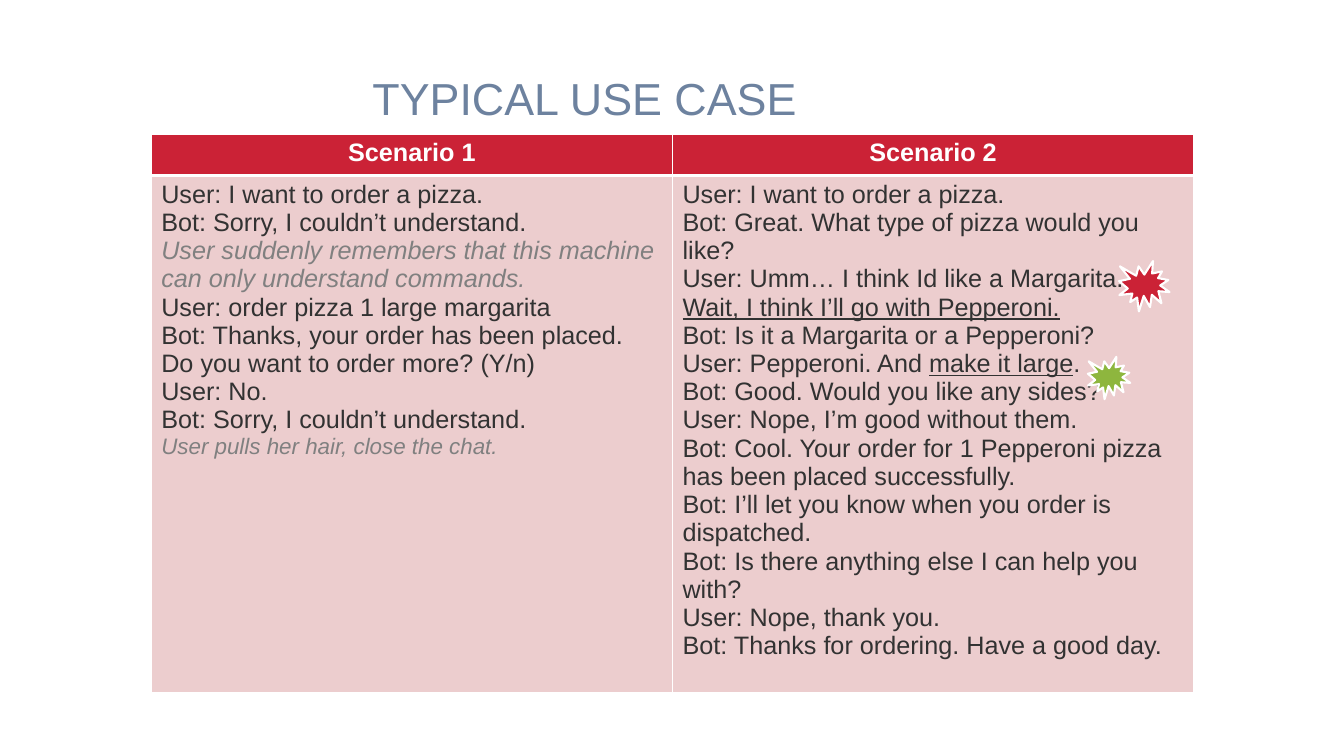
from lxml import etree
from pptx import Presentation
from pptx.dml.color import RGBColor
from pptx.enum.shapes import MSO_SHAPE
from pptx.enum.text import MSO_ANCHOR, PP_ALIGN
from pptx.oxml.ns import qn
from pptx.util import Inches, Pt

BURST = MSO_SHAPE.EXPLOSION1
CENTER = PP_ALIGN.CENTER
MIDDLE = MSO_ANCHOR.MIDDLE
FONT = "Arial"
RED, PINK, GREEN, WHITE = "CB2236", "ECCDCE", "8EB63E", "FFFFFF"
DARK, GRAY, SLATE = "323232", "808080", "6D829F"


def color(hex_string):
    return RGBColor.from_string(hex_string)


def set_borders(cell, widths):
    properties = cell._tc.get_or_add_tcPr()
    for side, width in zip("LRTB", widths):
        line = etree.SubElement(properties, qn(f"a:ln{side}"), w=str(Pt(width)))
        fill = etree.SubElement(line, qn("a:solidFill"))
        etree.SubElement(fill, qn("a:srgbClr"), val=WHITE)


presentation = Presentation()
presentation.slide_width = Inches(13.33)
presentation.slide_height = Inches(7.5)
slide = presentation.slides.add_slide(presentation.slide_layouts[5])

# Title
title = slide.shapes.title
title.left, title.top = Inches(2.33), Inches(0.67)
title.width, title.height = Inches(6.94), Inches(0.67)
title.text_frame.text = "TYPICAL USE CASE"
title.text_frame.vertical_anchor = MIDDLE
title_paragraph = title.text_frame.paragraphs[0]
title_paragraph.alignment = CENTER
title_paragraph.line_spacing = 0.9
title_paragraph.font.name = FONT
title_paragraph.font.size = Pt(32)
title_paragraph.font.color.rgb = color(SLATE)

# Dialogues: one list per turn, each run with its style
STYLES = {  # size, color, italic, underline
    "plain": (18, DARK, False, False),
    "change": (18, DARK, False, True),
    "aside": (18, GRAY, True, False),
    "exit": (16, GRAY, True, False),
}
scenarios = {
    "Scenario 1": [
        [("User: I want to order a pizza.", "plain")],
        [("Bot: Sorry, I couldn’t understand.", "plain")],
        [("User suddenly remembers that this machine can only understand commands.", "aside")],
        [("User: order pizza 1 large margarita", "plain")],
        [("Bot: Thanks, your order has been placed. Do you want to order more? (Y/n)", "plain")],
        [("User: No.", "plain")],
        [("Bot: Sorry, I couldn’t understand.", "plain")],
        [("User pulls her hair, close the chat.", "exit")],
    ],
    "Scenario 2": [
        [("User: I want to order a pizza.", "plain")],
        [("Bot: Great. What type of pizza would you like?", "plain")],
        [("User: Umm… I think Id like a Margarita. ", "plain"),
         ("Wait, I think I’ll go with Pepperoni.", "change")],
        [("Bot: Is it a Margarita or a Pepperoni?", "plain")],
        [("User: Pepperoni. And ", "plain"), ("make it large", "change"), (".", "plain")],
        [("Bot: Good. Would you like any sides?", "plain")],
        [("User: Nope, I’m good without them.", "plain")],
        [("Bot: Cool. Your order for 1 Pepperoni pizza has been placed successfully.", "plain")],
        [("Bot: I’ll let you know when you order is dispatched.", "plain")],
        [("Bot: Is there anything else I can help you with?", "plain")],
        [("User: Nope, thank you.", "plain")],
        [("Bot: Thanks for ordering. Have a good day.", "plain")],
    ],
}

# Scenario table
HEADER_HEIGHT, BODY_HEIGHT = Inches(0.41), Inches(5.13)
table = slide.shapes.add_table(
    2, len(scenarios), Inches(1.5), Inches(1.33), Inches(10.34), HEADER_HEIGHT + BODY_HEIGHT
).table
table.rows[0].height, table.rows[1].height = HEADER_HEIGHT, BODY_HEIGHT

for column, (heading, turns) in enumerate(scenarios.items()):
    header, body = table.cell(0, column), table.cell(1, column)
    for cell, fill, widths in ((header, RED, (1, 1, 1, 3)), (body, PINK, (1, 1, 3, 1))):
        set_borders(cell, widths)
        cell.fill.solid()
        cell.fill.fore_color.rgb = color(fill)

    header.text_frame.text = heading
    heading_paragraph = header.text_frame.paragraphs[0]
    heading_paragraph.alignment = CENTER
    heading_font = heading_paragraph.runs[0].font
    heading_font.name, heading_font.size, heading_font.bold = FONT, Pt(18), True
    heading_font.color.rgb = color(WHITE)

    body.text_frame.text = "\n".join("".join(text for text, _ in turn) for turn in turns)
    for paragraph, turn in zip(body.text_frame.paragraphs, turns):
        paragraph.clear()
        for text, style in turn:
            run = paragraph.add_run()
            run.text = text
            size, text_color, italic, underline = STYLES[style]
            run.font.name, run.font.size, run.font.bold = FONT, Pt(size), False
            run.font.italic, run.font.underline = italic, underline
            run.font.color.rgb = color(text_color)

# Bursts beside the changes of mind
for left, top, size, fill in ((11.1, 2.59, 0.5, RED), (10.79, 3.54, 0.42, GREEN)):
    burst = slide.shapes.add_shape(BURST, Inches(left), Inches(top), Inches(size), Inches(size))
    burst.shadow.inherit = False
    burst.fill.solid()
    burst.fill.fore_color.rgb = color(fill)
    burst.line.color.rgb = color(WHITE)
    burst.line.width = Pt(1.5)

presentation.save("out.pptx")
